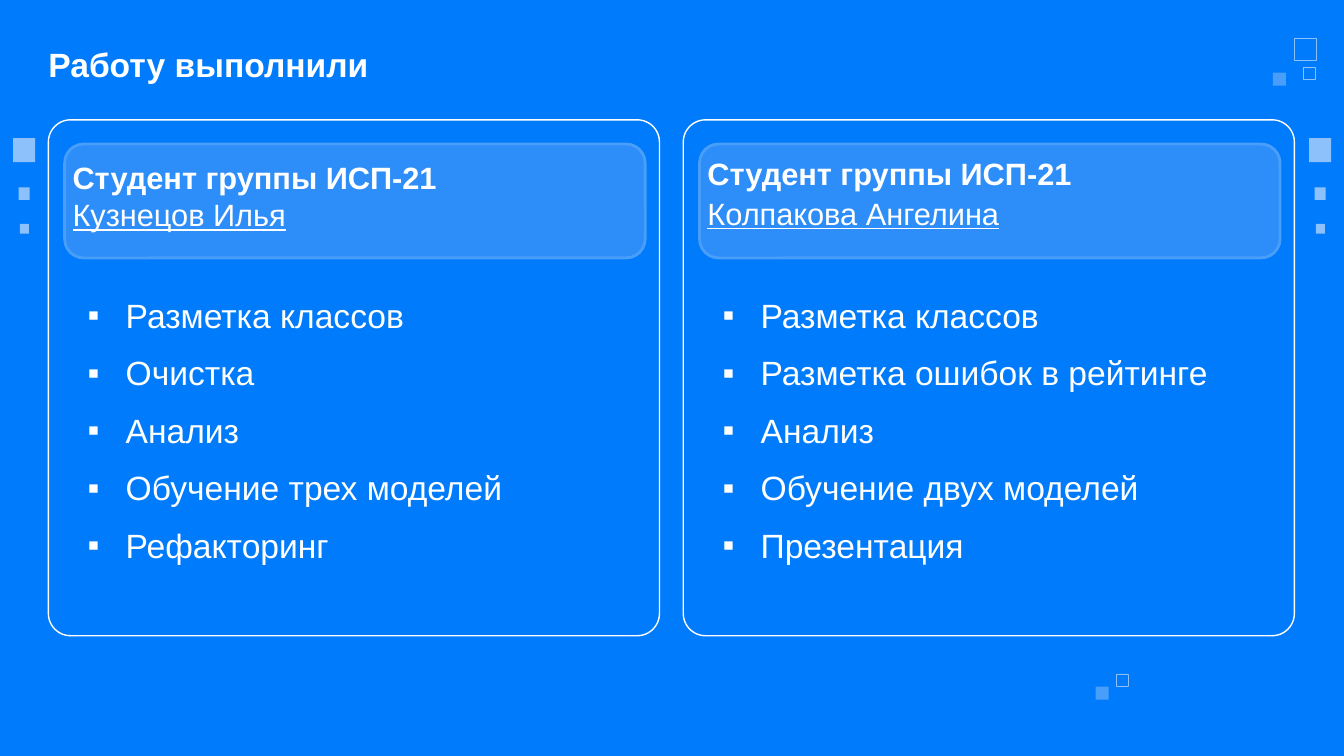
from dataclasses import dataclass

from lxml import etree
from pptx import Presentation
from pptx.dml.color import RGBColor
from pptx.enum.shapes import MSO_SHAPE
from pptx.enum.text import MSO_ANCHOR
from pptx.oxml.ns import qn
from pptx.util import Cm, Pt


@dataclass(frozen=True)
class Theme:
    font: str = "Arial"
    background: str = "007BFC"
    white: str = "FFFFFF"
    list_text: str = "FEFFFE"
    header_fill: str = "2D8DF9"
    soft_blue: str = "499EFA"
    pale_blue: str = "8DC1FC"
    title_size: int = 24
    header_size: int = 22
    list_size: int = 24


class SlideBuilder:
    def __init__(self, slide, theme):
        self.slide = slide
        self.theme = theme
        slide.background.fill.solid()
        slide.background.fill.fore_color.rgb = RGBColor.from_string(theme.background)

    def box(self, kind, left, top, width, height, fill=None, line=None,
            line_width=1, corner=None):
        shape = self.slide.shapes.add_shape(kind, Cm(left), Cm(top), Cm(width), Cm(height))
        shape.shadow.inherit = False
        if corner is not None:
            shape.adjustments[0] = corner
        if fill:
            shape.fill.solid()
            shape.fill.fore_color.rgb = RGBColor.from_string(fill)
        else:
            shape.fill.background()
        if line:
            shape.line.color.rgb = RGBColor.from_string(line)
            shape.line.width = Pt(line_width)
        else:
            shape.line.fill.background()

    def panel(self, left, top, width, height, **style):
        self.box(MSO_SHAPE.ROUNDED_RECTANGLE, left, top, width, height, **style)

    def square(self, left, top, width, height=None, **style):
        self.box(MSO_SHAPE.RECTANGLE, left, top, width, height or width, **style)

    def text_frame(self, left, top, width, height, inset=0):
        frame = self.slide.shapes.add_textbox(
            Cm(left), Cm(top), Cm(width), Cm(height)).text_frame
        frame.word_wrap = True
        frame.margin_left = frame.margin_right = Cm(inset)
        frame.margin_top = frame.margin_bottom = Cm(inset)
        return frame

    def style_font(self, paragraph, size, color, bold=False, underline=False):
        font = paragraph.font
        font.name = self.theme.font
        font.size = Pt(size)
        font.bold = bold
        font.underline = underline
        font.color.rgb = RGBColor.from_string(color)

    def text_line(self, text, left, top, width, height, size, spacing=1.0, **style):
        paragraph = self.text_frame(left, top, width, height).paragraphs[0]
        paragraph.text = text
        paragraph.line_spacing = spacing
        self.style_font(paragraph, size, self.theme.white, **style)

    def bullet_list(self, items, left, top, width, height):
        frame = self.text_frame(left, top, width, height, inset=0.15)
        frame.vertical_anchor = MSO_ANCHOR.MIDDLE
        for index, item in enumerate(items):
            paragraph = frame.add_paragraph() if index else frame.paragraphs[0]
            paragraph.text = item
            paragraph.line_spacing = 1.15
            paragraph.space_before = Pt(8 if index else 0)
            properties = paragraph._p.get_or_add_pPr()
            properties.set("marL", str(Cm(0.96)))
            properties.set("indent", str(Cm(-0.96)))
            etree.SubElement(properties, qn("a:buFont")).set("typeface", self.theme.font)
            etree.SubElement(properties, qn("a:buChar")).set("char", "▪")
            self.style_font(paragraph, self.theme.list_size, self.theme.list_text)


GROUP = "Студент группы ИСП-21"
COLUMN_STEP = 16.0
# name, group line top, name top, list width, tasks
STUDENTS = [
    ("Кузнецов Илья", 3.99, 4.93, 12.67,
     ["Разметка классов", "Очистка", "Анализ", "Обучение трех моделей", "Рефакторинг"]),
    ("Колпакова Ангелина", 3.91, 4.9, 13.74,
     ["Разметка классов", "Разметка ошибок в рейтинге", "Анализ",
      "Обучение двух моделей", "Презентация"]),
]
# left, top, side
OUTLINED_SQUARES = [(32.61, 0.97, 0.55), (32.84, 1.7, 0.3), (28.14, 17.0, 0.28)]
SOFT_SQUARES = [(32.08, 1.83, 0.33), (27.61, 17.3, 0.33)]
TRAIL_STARTS = (0.33, 32.99)
# offset from the trail's start, top, width, height
TRAIL = [(0, 3.48, 0.56, 0.61), (0.14, 4.72, 0.28, 0.32), (0.17, 5.64, 0.23, 0.25)]


def main():
    presentation = Presentation()
    presentation.slide_width = Cm(33.87)
    presentation.slide_height = Cm(19.05)
    theme = Theme()
    builder = SlideBuilder(
        presentation.slides.add_slide(presentation.slide_layouts[6]), theme)

    builder.text_line("Работу выполнили", 1.22, 1.22, 31.4, 1.8,
                      theme.title_size, spacing=0.9, bold=True)

    for column, (name, group_top, name_top, list_width, tasks) in enumerate(STUDENTS):
        shift = column * COLUMN_STEP
        builder.panel(1.22 + shift, 3.02, 15.4, 13.0, line=theme.white, corner=0.043)
        builder.panel(1.63 + shift, 3.63, 14.63, 2.87, fill=theme.header_fill,
                      line=theme.soft_blue, line_width=2)
        builder.text_line(GROUP, 1.83 + shift, group_top, 14.2, 0.71,
                          theme.header_size, bold=True)
        builder.text_line(name, 1.83 + shift, name_top, 14.2, 10.49,
                          theme.header_size, underline=True)
        builder.bullet_list(tasks, 2.06 + shift, 7.09, list_width, 7.34)

    for left, top, side in OUTLINED_SQUARES:
        builder.square(left, top, side, line=theme.pale_blue, line_width=0.23)
    for left, top, side in SOFT_SQUARES:
        builder.square(left, top, side, fill=theme.soft_blue)
    for start in TRAIL_STARTS:
        for offset, top, width, height in TRAIL:
            builder.square(start + offset, top, width, height, fill=theme.pale_blue)

    presentation.save("out.pptx")


if __name__ == "__main__":
    main()
